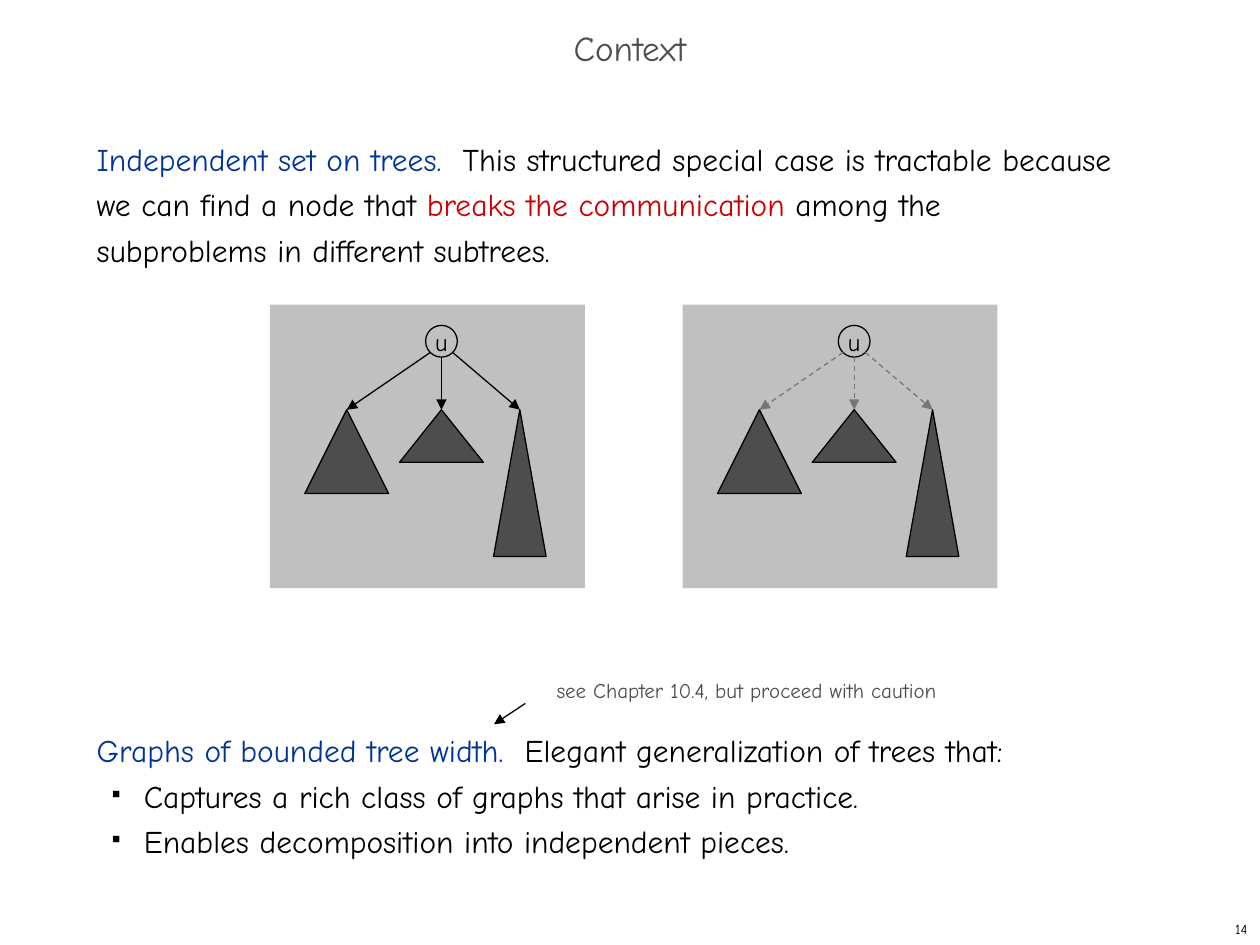
import lxml.etree
import pptx
import pptx.dml.color
import pptx.enum.dml
import pptx.enum.shapes
import pptx.enum.text
import pptx.oxml
import pptx.oxml.ns
import pptx.util

Cm, Pt = pptx.util.Cm, pptx.util.Pt
SHAPE = pptx.enum.shapes.MSO_SHAPE
ALIGN = pptx.enum.text.PP_ALIGN
ANCHOR = pptx.enum.text.MSO_ANCHOR
FIT = pptx.enum.text.MSO_AUTO_SIZE
COLORS = {
    "black": "000000",
    "gray": "4D4D4D",
    "panel": "C0C0C0",
    "cut": "777777",
    "topic": "003399",
    "stress": "CC0000",
}
FONT = "Comic Neue"
BODY = {"line_spacing": Pt(26)}


def color(name):
    """Return the named colour."""
    return pptx.dml.color.RGBColor.from_string(COLORS[name])


def apply_format(target, values):
    """Set each format value on the target."""
    for attribute, value in values.items():
        setattr(target, attribute, value)


def add_child(parent, tag, **attributes):
    """Append a drawing element with its attributes."""
    child = lxml.etree.SubElement(parent, pptx.oxml.ns.qn(tag))
    for name, value in attributes.items():
        child.set(name, value)
    return child


def add_bullet(paragraph):
    """Give the paragraph a small square bullet and a hanging indent."""
    paragraph.level = 1
    properties = paragraph._p.get_or_add_pPr()
    properties.set("marL", str(Cm(0.95)))
    properties.set("indent", str(Cm(-0.64)))
    bullet_color = add_child(properties, "a:buClr")
    add_child(bullet_color, "a:srgbClr", val=COLORS["black"])
    add_child(properties, "a:buSzPct", val="35000")
    add_child(properties, "a:buChar", char="■")


def write_runs(paragraph, runs, size):
    """Write (text, colour) runs into the paragraph."""
    for text, color_name in runs:
        run = paragraph.add_run()
        run.text = text
        apply_format(run.font, {"size": Pt(size), "name": FONT})
        run.font.color.rgb = color(color_name)


def add_text(slide, box, lines, size, frame_format, paragraph_format, bullets_from=None):
    """Place a text box whose lines are lists of coloured runs."""
    frame = slide.shapes.add_textbox(*map(Cm, box)).text_frame
    apply_format(frame, {"word_wrap": True, **frame_format})
    for index, runs in enumerate(lines):
        paragraph = frame.add_paragraph() if index else frame.paragraphs[0]
        if bullets_from is not None and index >= bullets_from:
            add_bullet(paragraph)
        apply_format(paragraph, paragraph_format)
        write_runs(paragraph, runs, size)


def add_figure(slide, preset, box, fill, outline=None):
    """Place a flat preset shape."""
    figure = slide.shapes.add_shape(preset, *map(Cm, box))
    figure.shadow.inherit = False
    figure.fill.solid()
    figure.fill.fore_color.rgb = color(fill)
    if outline:
        figure.line.color.rgb = color(outline)
        figure.line.width = Pt(0.75)
    else:
        figure.line.fill.background()
    return figure


def add_arrow(slide, start, end, stroke="black", dashed=False):
    """Draw a thin arrow from start to end."""
    arrow = slide.shapes.add_connector(
        pptx.enum.shapes.MSO_CONNECTOR.STRAIGHT, *map(Cm, (*start, *end)))
    arrow.line.color.rgb = color(stroke)
    arrow.line.width = Pt(0.75)
    if dashed:
        arrow.line.dash_style = pptx.enum.dml.MSO_LINE.DASH
    add_child(arrow.line._get_or_add_ln(), "a:tailEnd", type="triangle")
    add_child(arrow._element.spPr, "a:effectLst")


def add_tree(slide, box, stroke, dashed):
    """Draw a panel with root u and its three subtrees."""
    left, top, width, height = box
    add_figure(slide, SHAPE.RECTANGLE, box, "panel")
    diameter = 0.64
    radius, diagonal = diameter / 2, diameter / 2 * 0.7
    root_x, root_y = left + 3.46, top + 0.74
    root = add_figure(slide, SHAPE.OVAL,
                      (root_x - radius, root_y - radius, diameter, diameter), "panel", "black")
    apply_format(root.text_frame, {"word_wrap": False, "vertical_anchor": ANCHOR.MIDDLE})
    label = root.text_frame.paragraphs[0]
    label.alignment = ALIGN.CENTER
    write_runs(label, [("u", "black")], 14)

    apex_y = top + 2.12
    subtrees = [
        (1.55, 1.69, 1.69, -diagonal, diagonal),
        (3.46, 1.69, 1.06, 0, radius),
        (5.04, 1.06, 2.96, diagonal, diagonal),
    ]
    for apex, base, depth, shift_x, shift_y in subtrees:
        apex_x = left + apex
        add_arrow(slide, (root_x + shift_x, root_y + shift_y), (apex_x, apex_y), stroke, dashed)
        add_figure(slide, SHAPE.ISOSCELES_TRIANGLE,
                   (apex_x - base / 2, apex_y, base, depth), "gray", "black")


def add_trees_section(slide, box):
    """Place the tree statement and the whole and split trees."""
    left, top, width, height = box
    statement = [
        [("Independent set on trees.  ", "topic"),
         ("This structured special case is tractable because we can find a node that ", "black"),
         ("breaks the communication", "stress"),
         (" among the", "black")],
        [("subproblems in different subtrees.", "black")],
    ]
    add_text(slide, (left, top, width, 3.1), statement, 18, {}, BODY)
    for offset, stroke, dashed in ((3.74, "black", False), (12.06, "cut", True)):
        add_tree(slide, (left + offset, top + 3.6, 6.35, 5.72), stroke, dashed)


def add_width_section(slide, box):
    """Place the tree width statement with its remark."""
    left, top, width, height = box
    statement = [
        [("Graphs of bounded tree width.  ", "topic"),
         ("Elegant generalization of trees that:", "black")],
        [("Captures a rich class of graphs that arise in practice.", "black")],
        [("Enables decomposition into independent pieces.", "black")],
    ]
    add_text(slide, box, statement, 18, {}, BODY, bullets_from=1)
    add_text(slide, (left + 9.27, top - 0.92, 8.2, 0.76),
             [[("see Chapter 10.4, but proceed with caution", "gray")]], 12,
             {"word_wrap": False, "auto_size": FIT.SHAPE_TO_FIT_TEXT}, {})
    add_arrow(slide, (left + 8.89, top - 0.28), (left + 8.26, top + 0.14))


def main():
    """Build and save the slide."""
    deck = pptx.Presentation()
    deck.slide_width, deck.slide_height = Cm(25.4), Cm(19.05)
    slide = deck.slides.add_slide(deck.slide_layouts[6])
    middle = {"vertical_anchor": ANCHOR.MIDDLE}
    add_text(slide, (0, 0.42, 25.4, 1.27), [[("Context", "gray")]], 20, middle,
             {"alignment": ALIGN.CENTER, "line_spacing": 0.7})
    add_trees_section(slide, (1.7, 2.54, 21.8, 9.32))
    add_width_section(slide, (1.7, 14.46, 21.8, 3.1))
    add_text(slide, (20.12, 18.41, 5.28, 0.64), [[("14", "black")]], 8, middle,
             {"alignment": ALIGN.RIGHT})
    deck.save("out.pptx")


if __name__ == "__main__":
    main()
